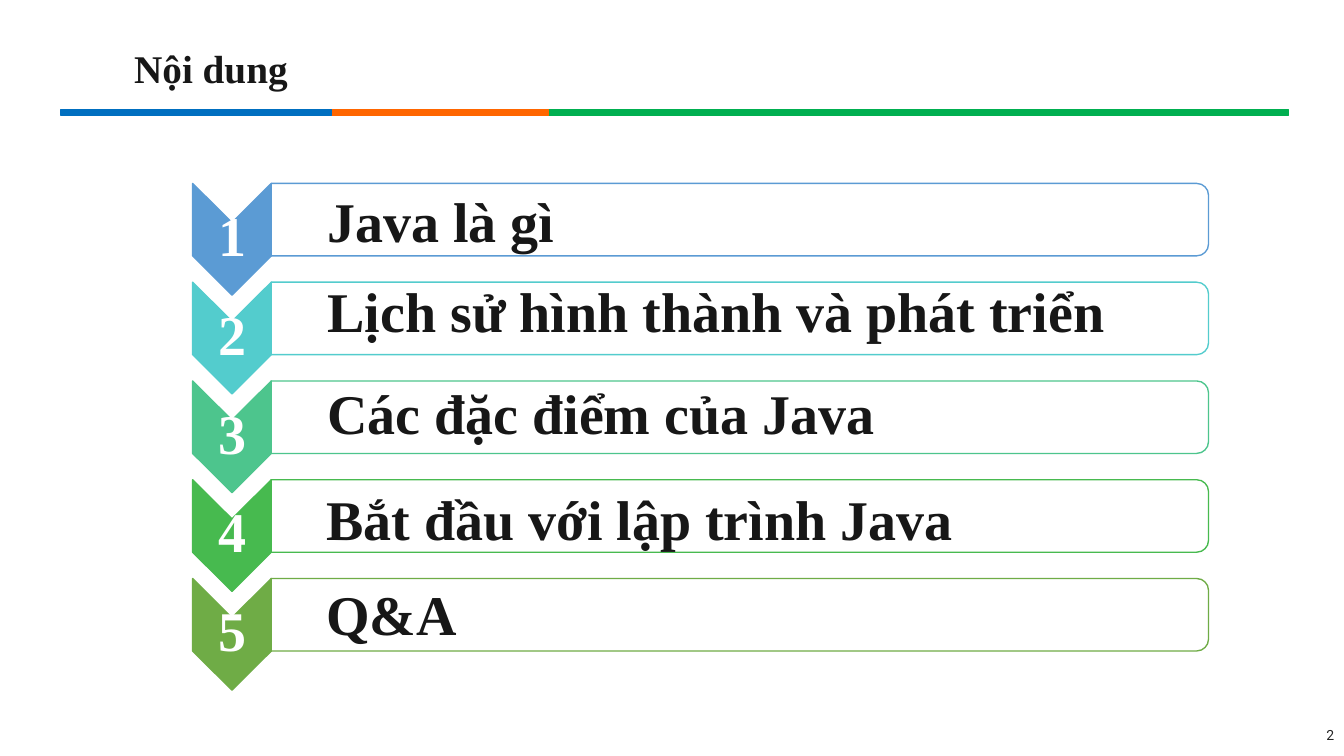
from lxml import etree
from pptx import Presentation
from pptx.dml.color import RGBColor
from pptx.enum import shapes, text
from pptx.oxml import ns
from pptx.util import Pt

COLORS = {
    "blue": "006FC0", "orange": "FF6600", "green": "00AF50",
    "ink": "171717", "page": "252525", "white": "FFFFFF",
}
ROW_TOP, ROW_PITCH = 131, 70.55
CHEVRON_LEFT, CHEVRON_WIDTH, CHEVRON_POINT = 137.6, 56.2, 28
PANEL_LEFT, PANEL_RIGHT, PANEL_HEIGHT = 193.7, 863.3, 51.8

# label, colour, label left, label top, label width
TOPICS = [
    ("Java là gì", "5B9BD4", 234, 132.5, 170),
    ("Lịch sử hình thành và phát triển", "53CCCD", 234, 196.6, 566),
    ("Các đặc điểm của Java", "4DC58D", 234, 269.3, 400),
    ("Bắt đầu với lập trình Java", "47BA4F", 233, 344.9, 456),
    ("Q&A", "6FAC46", 233, 413.3, 100),
]


class AgendaSlide:
    """Holds the slide together with its fonts and line style."""

    serif, sans, line_width = "Times New Roman", "Roboto", 0.96

    def __init__(self, slide):
        self.shapes = slide.shapes

    def paint(self, shape, fill, line, opacity=100):
        shape.shadow.inherit = False
        shape.fill.solid()
        shape.fill.fore_color.rgb = RGBColor.from_string(fill)
        if opacity < 100:
            color = shape.element.spPr.find(ns.qn("a:solidFill")).find(ns.qn("a:srgbClr"))
            etree.SubElement(color, ns.qn("a:alpha"), val=str(opacity * 1000))
        shape.line.color.rgb = RGBColor.from_string(line)
        shape.line.width = Pt(self.line_width)

    def bar(self, left, top, width, height, color):
        bar = self.shapes.add_shape(shapes.MSO_SHAPE.RECTANGLE,
                                    Pt(left), Pt(top), Pt(width), Pt(height))
        self.paint(bar, color, color)

    def outline(self, points, fill, line, opacity=100):
        corners = [(Pt(x), Pt(y)) for x, y in points]
        builder = self.shapes.build_freeform(*corners[0], scale=1.0)
        builder.add_line_segments(corners[1:], close=True)
        self.paint(builder.convert_to_shape(), fill, line, opacity)

    def chevron(self, top, color):
        left, right = CHEVRON_LEFT, CHEVRON_LEFT + CHEVRON_WIDTH
        middle, bottom = (left + right) / 2, top + PANEL_HEIGHT
        self.outline([(right, top), (right, bottom), (middle, bottom + CHEVRON_POINT),
                      (left, bottom), (left, top), (middle, top + CHEVRON_POINT)],
                     color, color)

    def panel(self, top, color):
        """Square on the left, rounded on the right."""
        corner = [(8.6, 0), (5.1, 0.7), (2.5, 2.5), (0.7, 5.1), (0, 8.6)]
        bottom = top + PANEL_HEIGHT
        upper = [(PANEL_RIGHT - dx, top + dy) for dx, dy in corner]
        lower = [(PANEL_RIGHT - dx, bottom - dy) for dx, dy in reversed(corner)]
        self.outline([(PANEL_LEFT, top), *upper, *lower, (PANEL_LEFT, bottom)],
                     COLORS["white"], color, opacity=90)

    def label(self, lines, left, top, width, height, size, color,
              font=serif, bold=True, inset=0.9, before=0.9):
        frame = self.shapes.add_textbox(Pt(left), Pt(top), Pt(width), Pt(height)).text_frame
        frame.word_wrap = True
        frame.vertical_anchor = text.MSO_ANCHOR.TOP
        frame.margin_left = frame.margin_right = frame.margin_bottom = 0
        frame.margin_top = Pt(inset)
        frame.text = "\n".join(lines)
        for paragraph in frame.paragraphs:
            paragraph.space_before = Pt(before)
            paragraph.font.name = font
            paragraph.font.size = Pt(size)
            paragraph.font.bold = bold
            paragraph.font.color.rgb = RGBColor.from_string(color)


def main():
    deck = Presentation()
    deck.slide_width, deck.slide_height = Pt(960), Pt(540)
    agenda = AgendaSlide(deck.slides.add_slide(deck.slide_layouts[6]))

    for left, right, name in [(391.9, 920.2, "green"), (237.3, 391.9, "orange"),
                              (43.5, 236.7, "blue")]:
        agenda.bar(left, 78.1, right - left, 4.3, COLORS[name])
    agenda.label(["Nội dung"], 95.9, 31, 116, 35.3, 28, COLORS["ink"])

    for row, (topic, color, left, top, width) in enumerate(TOPICS):
        row_top = ROW_TOP + row * ROW_PITCH
        agenda.chevron(row_top, color)
        agenda.panel(row_top, color)
        agenda.label([topic], left, top, width, 49.7, 40, COLORS["ink"])

    numbers = [str(number) for number in range(1, len(TOPICS) + 1)]
    agenda.label(numbers, 155.8, 119.5, 22.3, 354.2, 40, COLORS["white"],
                 inset=23.8, before=22.5)
    agenda.label(["2"], 947.5, 519.1, 9, 13, 10, COLORS["page"],
                 font=agenda.sans, bold=False, inset=0, before=0)
    deck.save("out.pptx")


if __name__ == "__main__":
    main()
